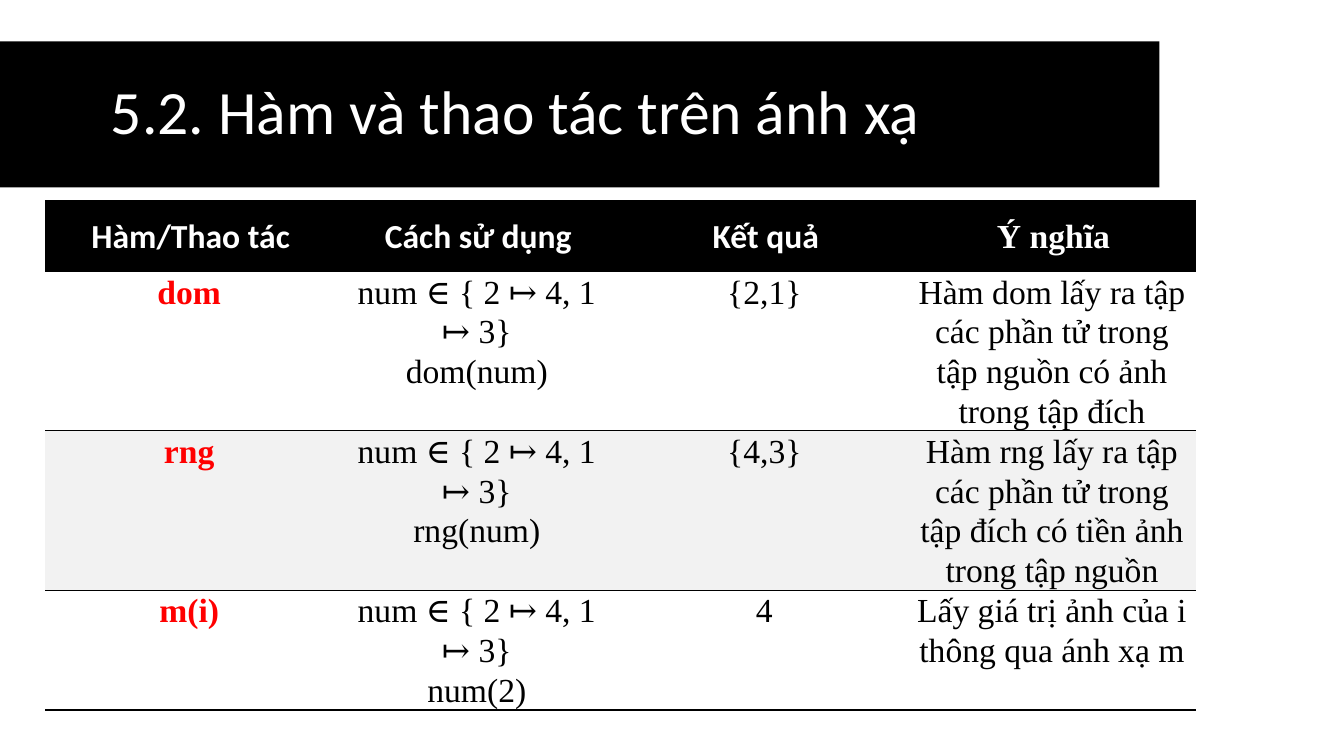
from lxml import etree
from pptx import Presentation
from pptx.dml.color import RGBColor
from pptx.enum.text import MSO_ANCHOR, PP_ALIGN
from pptx.oxml.ns import qn
from pptx.util import Inches, Pt

MIDDLE, TOP = MSO_ANCHOR.MIDDLE, MSO_ANCHOR.TOP
CENTER, LEFT = PP_ALIGN.CENTER, PP_ALIGN.LEFT
SANS, SERIF = "Calibri", "Times New Roman"
BLACK, WHITE, RED, GREY = "000000", "FFFFFF", "FF0000", "F2F2F2"
PLAIN_STYLE = "{2D5ABB26-0587-4C30-8999-92F81FD0307C}"

MAPPING = "num ∈ { 2 ↦ 4, 1 ↦ 3}"
HEADINGS = ["Hàm/Thao tác", "Cách sử dụng", "Kết quả", "Ý nghĩa"]
OPERATIONS = [
    ("dom", "dom(num)", "{2,1}",
     "Hàm dom lấy ra tập các phần tử trong tập nguồn có ảnh trong tập đích"),
    ("rng", "rng(num)", "{4,3}",
     "Hàm rng lấy ra tập các phần tử trong tập đích có tiền ảnh trong tập nguồn"),
    ("m(i)", "num(2)", "4", "Lấy giá trị ảnh của i thông qua ánh xạ m"),
]
ROW_HEIGHTS = [0.7, 1.58, 1.58, 1.19]


def color(value):
    return RGBColor.from_string(value)


def format_para(para, size, font, ink, align, spacing, bold=False):
    para.alignment = align
    para.line_spacing = spacing
    para.font.size = Pt(size)
    para.font.name = font
    para.font.color.rgb = color(ink)
    para.font.bold = bold


def add_border(cell, side):
    """Rule one side of a cell; call before setting its fill."""
    line = etree.SubElement(cell._tc.get_or_add_tcPr(), qn(f"a:{side}"), w=str(Pt(1)))
    fill = etree.SubElement(line, qn("a:solidFill"))
    etree.SubElement(fill, qn("a:srgbClr"), val=BLACK)


def fill_cell(cell, lines, font, ink, bold, backing=None, header=False):
    cell.vertical_anchor = MIDDLE if header else TOP
    cell.margin_left = Inches(0.1 if header else 0.07)
    cell.margin_right = Inches(0.07)
    cell.margin_top = cell.margin_bottom = Inches(0.14 if header else 0)
    if backing:
        cell.fill.solid()
        cell.fill.fore_color.rgb = color(backing)
    else:
        cell.fill.background()
    cell.text_frame.text = "\n".join(lines)
    for para in cell.text_frame.paragraphs:
        format_para(para, 24, font, ink, CENTER, 1.07, bold)


def place_title(page, left, top, width, height):
    title = page.shapes.title
    title.left, title.top = Inches(left), Inches(top)
    title.width, title.height = Inches(width), Inches(height)
    title.fill.solid()
    title.fill.fore_color.rgb = color(BLACK)
    frame = title.text_frame
    frame.text = "5.2. Hàm và thao tác trên ánh xạ"
    frame.vertical_anchor = MIDDLE
    frame.margin_left = Inches(1.1)
    format_para(frame.paragraphs[0], 44, SANS, WHITE, LEFT, 0.9)


def place_table(page, left, top, width):
    frame = page.shapes.add_table(
        len(ROW_HEIGHTS), len(HEADINGS), Inches(left), Inches(top),
        Inches(width), Inches(sum(ROW_HEIGHTS)))
    table = frame.table
    table.first_row = table.horz_banding = False
    table._tbl.tblPr.find(qn("a:tableStyleId")).text = PLAIN_STYLE
    for row, height in zip(table.rows, ROW_HEIGHTS):
        row.height = Inches(height)

    # Rules above the shaded row and below the last row
    for column in range(len(HEADINGS)):
        add_border(table.cell(2, column), "lnT")
        add_border(table.cell(3, column), "lnB")

    # Header row
    for column, heading in enumerate(HEADINGS):
        font = SERIF if heading == HEADINGS[-1] else SANS
        fill_cell(table.cell(0, column), [heading], font, WHITE, True, BLACK, header=True)

    # Operation rows
    for row, (name, usage, result, meaning) in enumerate(OPERATIONS, 1):
        backing = GREY if row == 2 else None
        fill_cell(table.cell(row, 0), [name], SERIF, RED, True, backing)
        for column, lines in enumerate([[MAPPING, usage], [result], [meaning]], 1):
            fill_cell(table.cell(row, column), lines, SERIF, BLACK, False, backing)


def main():
    deck = Presentation()
    deck.slide_width, deck.slide_height = Inches(13.33), Inches(7.5)
    page = deck.slides.add_slide(deck.slide_layouts[5])
    place_title(page, 0, 0.41, 11.5, 1.45)
    place_table(page, 0.45, 1.98, 11.41)
    deck.save("out.pptx")


if __name__ == "__main__":
    main()
